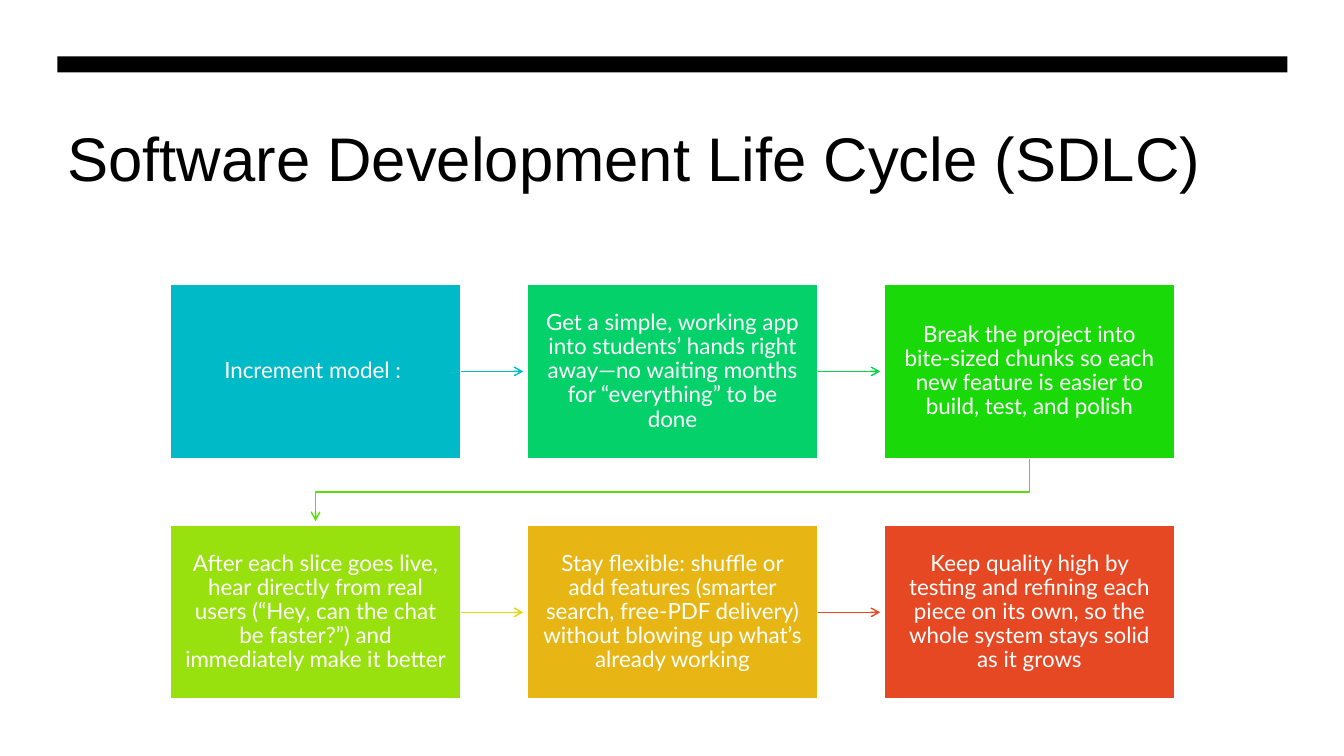
from lxml import etree
from pptx import Presentation
from pptx.dml.color import RGBColor
from pptx.enum.shapes import MSO_CONNECTOR, MSO_SHAPE
from pptx.enum.text import MSO_ANCHOR, PP_ALIGN
from pptx.oxml.ns import qn
from pptx.util import Inches, Pt

RECT = MSO_SHAPE.RECTANGLE
STRAIGHT = MSO_CONNECTOR.STRAIGHT
TOP, MIDDLE = MSO_ANCHOR.TOP, MSO_ANCHOR.MIDDLE
LEFT, CENTER = PP_ALIGN.LEFT, PP_ALIGN.CENTER
RIGHT_SIDE = 3


def color(code):
    return RGBColor.from_string(code)


def arrow(line, code):
    line.line.color.rgb = color(code)
    line.line.width = Pt(1)
    props = line._element.spPr
    etree.SubElement(props.get_or_add_ln(), qn("a:tailEnd"), type="arrow")
    if props.find(qn("a:effectLst")) is None:
        etree.SubElement(props, qn("a:effectLst"))


deck = Presentation()
deck.slide_width, deck.slide_height = Inches(13.33), Inches(7.5)
slide = deck.slides.add_slide(deck.slide_layouts[6])
shapes = slide.shapes

# White panel and black bar
for place, code in [((0, 0, 13.33, 7.5), "FFFFFF"), ((0.57, 0.56, 12.2, 0.16), "000000")]:
    band = shapes.add_shape(RECT, *map(Inches, place))
    band.shadow.inherit = False
    band.fill.solid()
    band.fill.fore_color.rgb = color(code)
    band.line.fill.background()

# Title and step boxes
wide, high = 2.88, 1.73
left, top = 1.69, 2.82
step_x, step_y = 3.54, 2.39
steps = [
    ("Increment model : ", "00BAC8"),
    ("Get a simple, working app into students’ hands right away—no waiting months for “everything” to be done", "04D169"),
    ("Break the project into bite-sized chunks so each new feature is easier to build, test, and polish", "1AD909"),
    ("After each slice goes live, hear directly from real users (“Hey, can the chat be faster?”) and immediately make it better", "99E00F"),
    ("Stay flexible: shuffle or add features (smarter search, free-PDF delivery) without blowing up what’s already working", "E7B615"),
    ("Keep quality high by testing and refining each piece on its own, so the whole system stays solid as it grows", "E64823"),
]
title = shapes.add_textbox(Inches(0.57), Inches(1.07), Inches(12.2), Inches(1.6))
boxes = []
for i, (words, code) in enumerate(steps):
    row, col = divmod(i, 3)
    box = shapes.add_shape(RECT, Inches(left + col * step_x), Inches(top + row * step_y),
                           Inches(wide), Inches(high))
    box.shadow.inherit = False
    box.fill.solid()
    box.fill.fore_color.rgb = color(code)
    box.line.color.rgb = color("FFFFFF")
    box.line.width = Pt(1.5)
    boxes.append(box)

# Text formats
head_style = {
    "frame": {"word_wrap": True, "vertical_anchor": TOP},
    "para": {"alignment": LEFT, "line_spacing": 1.1},
    "font": {"name": "Arial", "size": Pt(44)},
    "color": "000000",
}
step_style = {
    "frame": {"word_wrap": True, "vertical_anchor": MIDDLE,
              "margin_left": Inches(0.14), "margin_right": Inches(0.14),
              "margin_top": Inches(0.15), "margin_bottom": Inches(0.15)},
    "para": {"alignment": CENTER, "line_spacing": 0.9},
    "font": {"name": "Lato", "size": Pt(16)},
    "color": "FFFFFF",
}
texts = [(title, "Software Development Life Cycle (SDLC)", head_style)]
texts += [(box, words, step_style) for box, (words, _) in zip(boxes, steps)]
for shape, words, style in texts:
    frame = shape.text_frame
    para = frame.paragraphs[0]
    run = para.add_run()
    run.text = words
    for item, part in [(frame, "frame"), (para, "para"), (run.font, "font")]:
        for key, value in style[part].items():
            setattr(item, key, value)
    run.font.color.rgb = color(style["color"])

# Arrows along each row
gap = 0.04
for i, code in [(0, "00BAC8"), (1, "06D34D"), (3, "E6D313"), (4, "E64823")]:
    box, after = boxes[i], boxes[i + 1]
    mid = box.top + box.height // 2
    link = shapes.add_connector(STRAIGHT, box.left + box.width, mid,
                                after.left - Inches(gap), mid)
    link.begin_connect(box, RIGHT_SIDE)
    arrow(link, code)

# Bent arrow from the first row to the second
start, end = left + 2 * step_x + wide / 2, left + wide / 2
base, turn, tip = top + high, top + high + 0.33, top + step_y - gap
path = [(Inches(x), Inches(y)) for x, y in [(start, base), (start, turn), (end, turn), (end, tip)]]
pen = shapes.build_freeform(*path[0])
pen.add_line_segments(path[1:], close=False)
bend = pen.convert_to_shape()
bend.shadow.inherit = False
bend.fill.background()
arrow(bend, "59DD0C")

deck.save("out.pptx")
